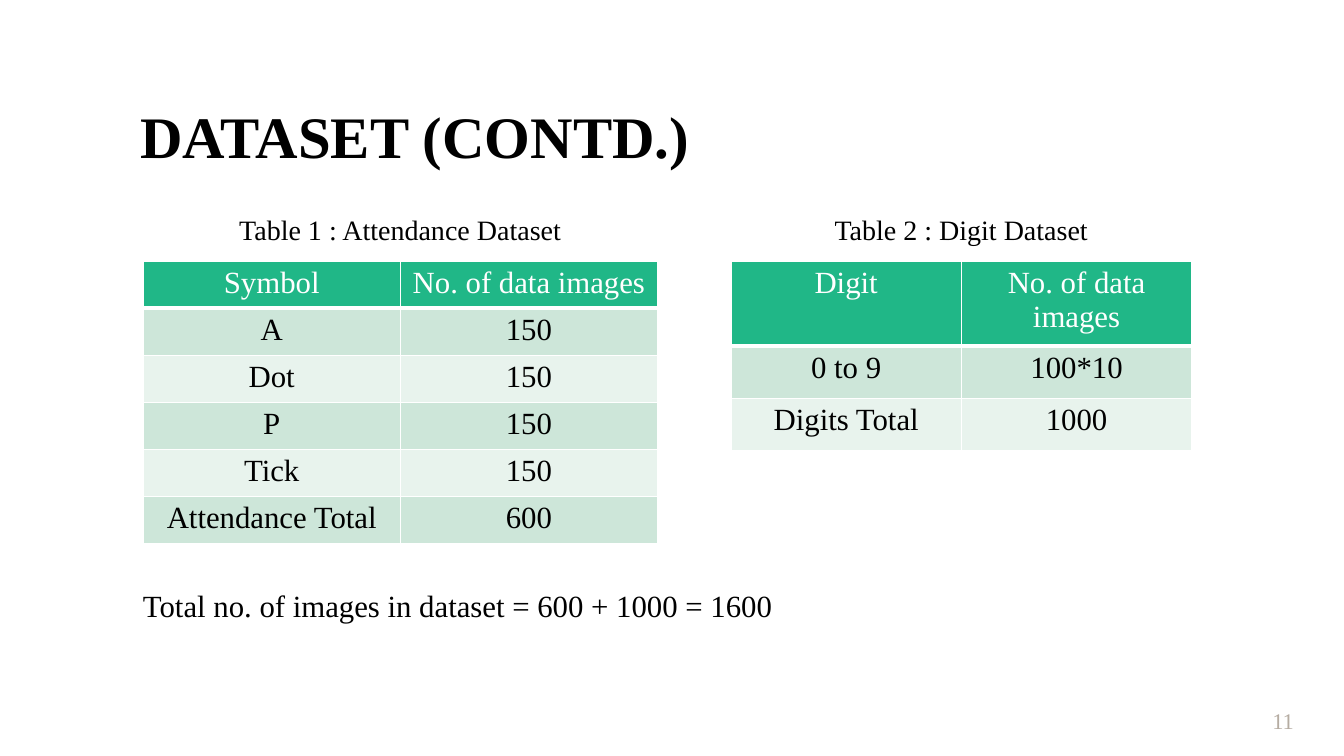
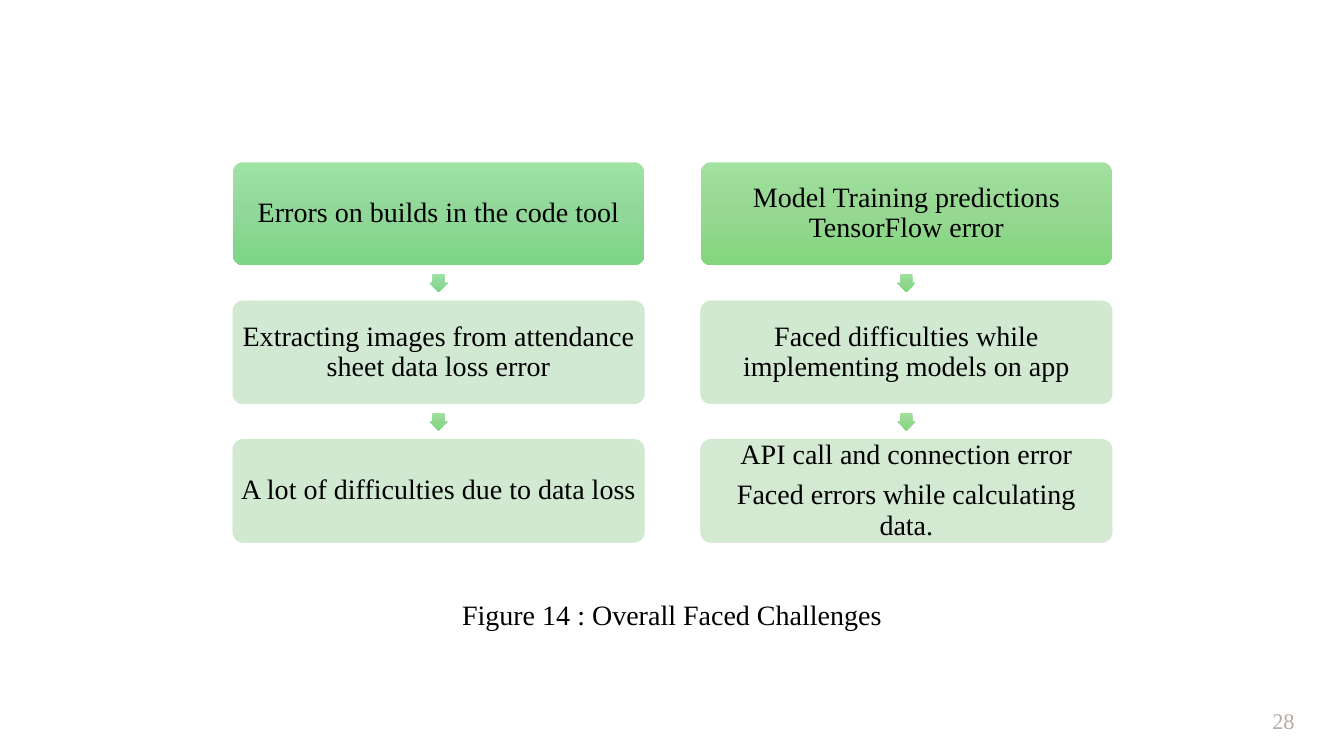
import copy

import pptx
import pptx.util
import pptx.dml.color
import pptx.enum.shapes
import pptx.enum.text
import pptx.oxml
import pptx.oxml.ns

Inches = pptx.util.Inches
Pt = pptx.util.Pt
qn = pptx.oxml.ns.qn
Kind = pptx.enum.shapes.MSO_SHAPE
Align = pptx.enum.text.PP_ALIGN
Anchor = pptx.enum.text.MSO_ANCHOR

HUES = {
    "ink": "000000", "white": "FFFFFF", "page": "B5ACA2",
    "head": "20B787", "odd": "CDE6D9", "even": "E8F3ED",
}
FONT = "Times New Roman"

TITLE = "DATASET (CONTD.)"
TABLES = [
    {
        "name": "Table 1 : Attendance Dataset",
        "left": 1.42, "width": 5.1, "rows": [2.8 / 6] * 6,
        "data": [
            ("Symbol", "No. of data images"),
            ("A", "150"),
            ("Dot", "150"),
            ("P", "150"),
            ("Tick", "150"),
            ("Attendance Total", "600"),
        ],
    },
    {
        "name": "Table 2 : Digit Dataset",
        "left": 7.25, "width": 4.57, "rows": [0.84, 0.52, 0.52],
        "data": [
            ("Digit", "No. of data images"),
            ("0 to 9", "100*10"),
            ("Digits Total", "1000"),
        ],
    },
]
TOTAL = "Total no. of images in dataset = 600 + 1000 = 1600"

MINT = ("9EE2A4", "91D798", "7CD685")
FERN = ("9EE2A0", "91D793", "7CD67F")
LEAF = ("9EE29E", "91D791", "7DD67D")
LIME = ("A2E19F", "96D792", "82D67D")
FLOWS = [
    {
        "boxes": [
            (["Errors on builds in the code tool"], MINT),
            (["Extracting images from attendance sheet data loss error"], ("CCE7CF",)),
            (["A lot of difficulties due to data loss"], ("CDE7CD",)),
        ],
        "arrows": [MINT, FERN],
    },
    {
        "boxes": [
            (["Model Training predictions TensorFlow error"], LIME),
            (["Faced difficulties while implementing models on app"], ("CDE7CD",)),
            (["API call and connection error", "Faced errors while calculating data."], ("CFE7CD",)),
        ],
        "arrows": [LEAF, LIME],
    },
]
FIGURE = "Figure 14 : Overall Faced Challenges"

LEFT, TOP = 2.31, 1.61
BOX_W, BOX_H = 4.08, 1.02
STEP_X, STEP_Y = 4.64, 1.375
ARROW = 0.18


def rgb(hue):
    return pptx.dml.color.RGBColor.from_string(HUES.get(hue, hue))


def apply(item, form):
    for key, value in form.items():
        setattr(item, key, value)


def write(frame, lines, size, hue="ink", bold=False, **form):
    for i, line in enumerate(lines):
        para = frame.paragraphs[0] if i == 0 else frame.add_paragraph()
        apply(para, form)
        run = para.add_run()
        run.text = line
        apply(run.font, {"name": FONT, "size": Pt(size), "bold": bold})
        run.font.color.rgb = rgb(hue)


def place(*spot):
    return [Inches(n) for n in spot]


def label(slide, spot, text, size, anchor=Anchor.TOP, **form):
    frame = slide.shapes.add_textbox(*place(*spot)).text_frame
    apply(frame, {"word_wrap": True, "vertical_anchor": anchor})
    write(frame, [text], size, **form)


def number(slide, text):
    label(slide, (12.52, 6.95, 0.59, 0.4), text, 16, Anchor.MIDDLE, hue="page")


def edge(cell, low):
    props = cell._tc.get_or_add_tcPr()
    for i, side in enumerate("LRTB"):
        width = Pt(low if side == "B" else 1)
        line = pptx.oxml.parse_xml(
            f'<a:ln{side} xmlns:a="http://schemas.openxmlformats.org/drawingml/2006/main" w="{width}">'
            f'<a:solidFill><a:srgbClr val="{HUES["white"]}"/></a:solidFill></a:ln{side}>')
        props.insert(i, line)


def grid(slide, item):
    left, width, rows = item["left"], item["width"], item["rows"]
    label(slide, (left, 2.06, width, 0.44), item["name"], 20, alignment=Align.CENTER)
    spot = place(left, 2.59, width, sum(rows))
    table = slide.shapes.add_table(len(rows), 2, *spot).table
    for r, (height, texts) in enumerate(zip(rows, item["data"])):
        table.rows[r].height = Inches(height)
        for c, text in enumerate(texts):
            cell = table.cell(r, c)
            cell.fill.solid()
            cell.fill.fore_color.rgb = rgb("head" if r == 0 else "odd" if r % 2 else "even")
            edge(cell, 1 if r else 3)
            write(cell.text_frame, [text], 22, "ink" if r else "white", alignment=Align.CENTER)


def blend(shape, hues):
    shape.fill.gradient()
    shape.fill.gradient_angle = 270
    stops = shape._element.find(".//" + qn("a:gsLst"))
    stops.append(copy.deepcopy(stops[0]))
    for i, (stop, hue) in enumerate(zip(shape.fill.gradient_stops, hues)):
        stop.position = i / 2
        stop.color.rgb = rgb(hue)
    shape.line.fill.background()


def tint(shape, hue):
    shape.fill.solid()
    shape.fill.fore_color.rgb = rgb(hue)
    shape.line.color.rgb = rgb(hue)
    shape.line.width = Pt(0.5)
    for color in shape._element.spPr.iter(qn("a:srgbClr")):
        color.append(color.makeelement(qn("a:alpha"), {"val": "90000"}))


def draw(slide, kind, spot, hues, bends):
    shape = slide.shapes.add_shape(kind, *place(*spot))
    shape.shadow.inherit = False
    for i, bend in enumerate(bends):
        shape.adjustments[i] = bend
    if len(hues) > 1:
        blend(shape, hues)
    else:
        tint(shape, hues[0])
    return shape


def flow(slide, item, left):
    for i, (lines, hues) in enumerate(item["boxes"]):
        spot = (left, TOP + i * STEP_Y, BOX_W, BOX_H)
        frame = draw(slide, Kind.ROUNDED_RECTANGLE, spot, hues, [0.1]).text_frame
        apply(frame, {"word_wrap": True, "vertical_anchor": Anchor.MIDDLE})
        apply(frame, {f"margin_{s}": Inches(0.03) for s in ("left", "top", "right", "bottom")})
        write(frame, lines, 20, alignment=Align.CENTER, line_spacing=0.9, space_after=Pt(7))
    for i, hues in enumerate(item["arrows"]):
        x = left + (BOX_W - ARROW) / 2
        y = TOP + i * STEP_Y + (BOX_H + STEP_Y - ARROW) / 2
        draw(slide, Kind.DOWN_ARROW, (x, y, ARROW, ARROW), hues, [0.67, 0.5])


def data_slide(deck):
    slide = deck.slides.add_slide(deck.slide_layouts[5])
    title = slide.shapes.title
    spot = place(1.29, 0.93, 9.65, 0.81)
    apply(title, dict(zip(("left", "top", "width", "height"), spot)))
    apply(title.text_frame, {"word_wrap": True, "vertical_anchor": Anchor.MIDDLE})
    write(title.text_frame, [TITLE], 42, bold=True, alignment=Align.LEFT)
    for item in TABLES:
        grid(slide, item)
    label(slide, (1.32, 5.77, 10.4, 0.47), TOTAL, 22)
    number(slide, "11")


def flow_slide(deck):
    slide = deck.slides.add_slide(deck.slide_layouts[6])
    for i, item in enumerate(FLOWS):
        flow(slide, item, LEFT + i * STEP_X)
    label(slide, (1.24, 5.88, 10.85, 0.44), FIGURE, 20, alignment=Align.CENTER)
    number(slide, "28")


def main():
    deck = pptx.Presentation()
    apply(deck, {"slide_width": Inches(13.33), "slide_height": Inches(7.5)})
    data_slide(deck)
    flow_slide(deck)
    deck.save("out.pptx")


if __name__ == "__main__":
    main()
